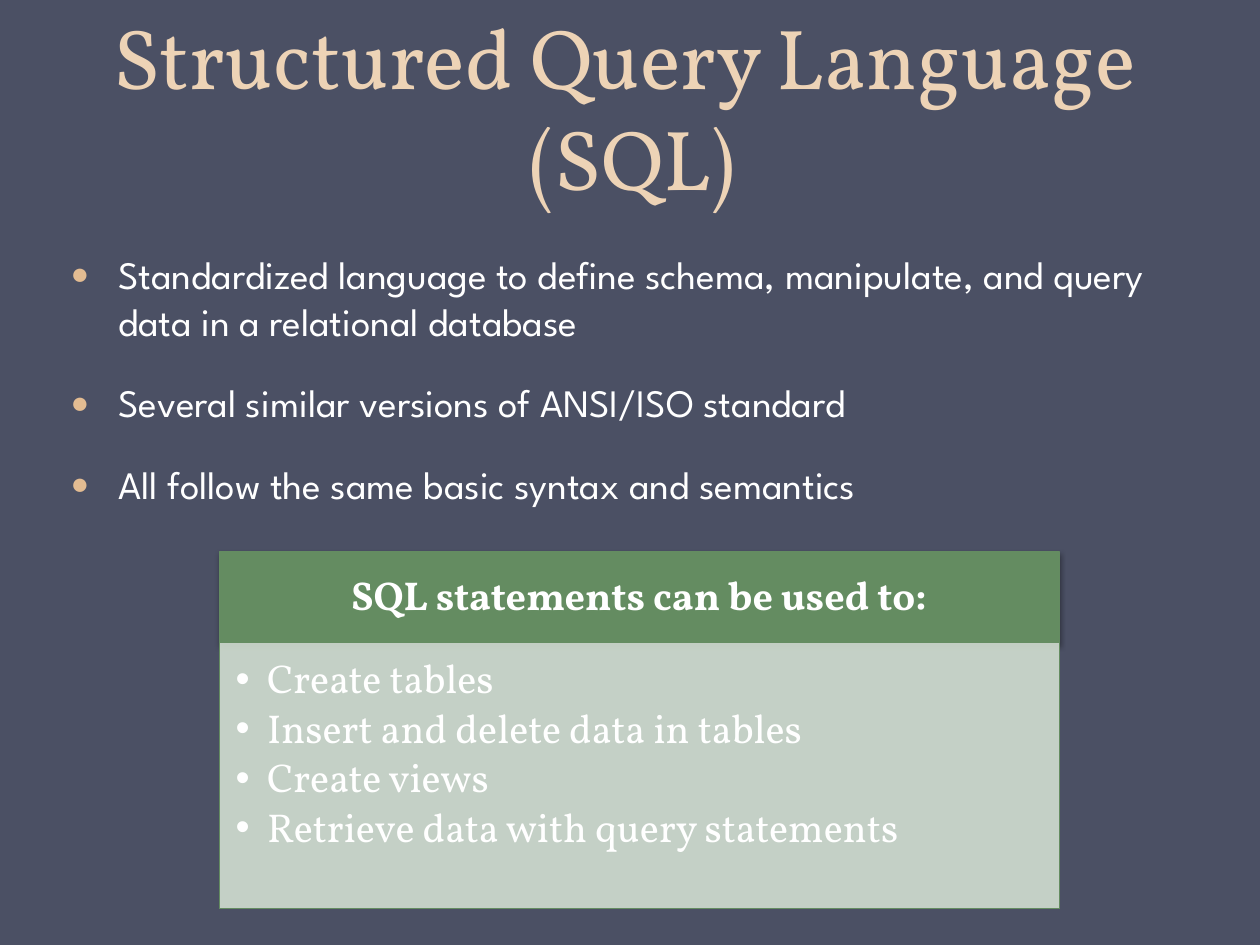
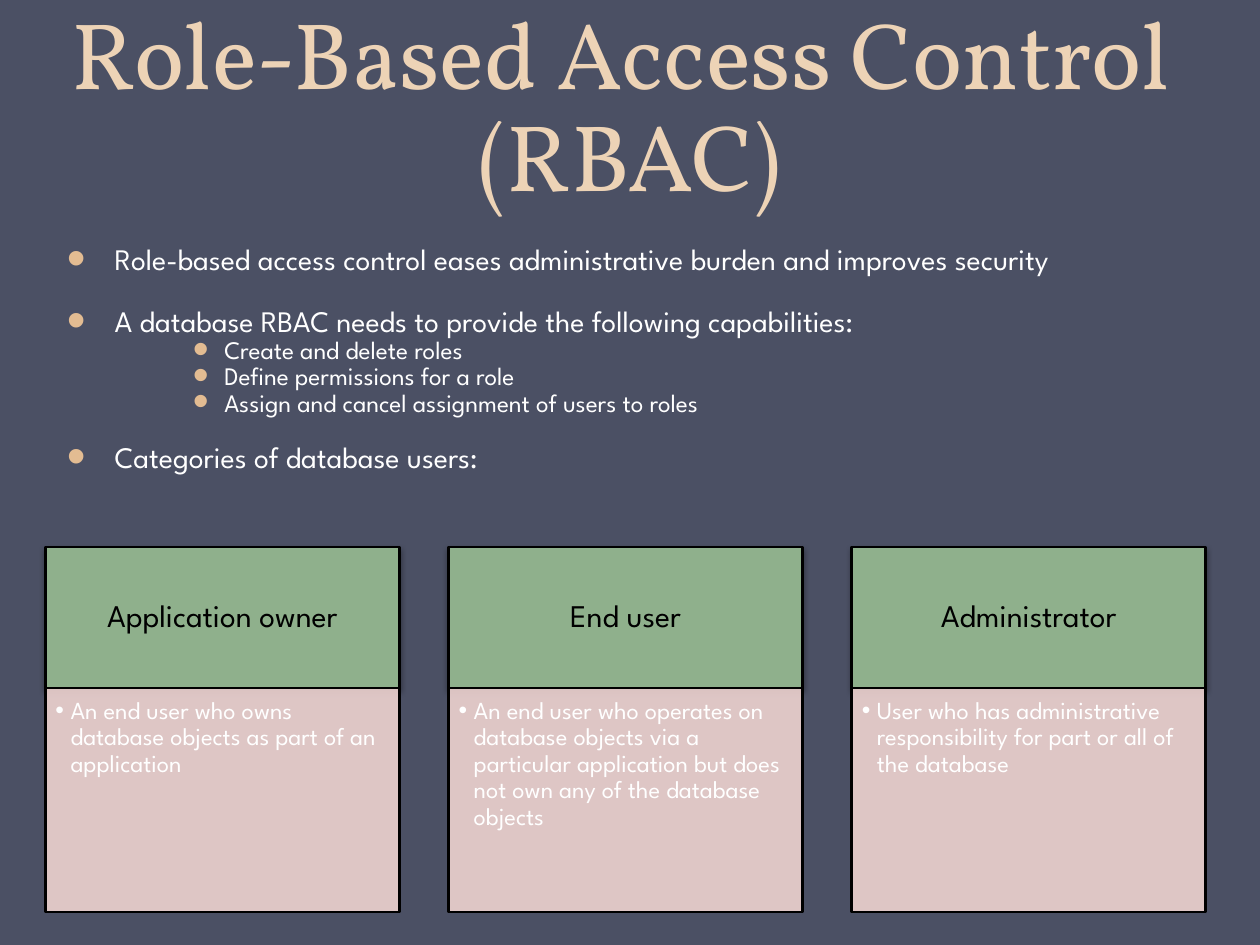
from lxml import etree
from pptx import Presentation
from pptx.dml.color import RGBColor
from pptx.enum.shapes import MSO_SHAPE
from pptx.enum.text import MSO_ANCHOR, MSO_AUTO_SIZE, PP_ALIGN
from pptx.oxml.ns import qn
from pptx.util import Inches, Pt

RECTANGLE = MSO_SHAPE.RECTANGLE
TOP, MIDDLE, BOTTOM = MSO_ANCHOR.TOP, MSO_ANCHOR.MIDDLE, MSO_ANCHOR.BOTTOM
LEFT, CENTER = PP_ALIGN.LEFT, PP_ALIGN.CENTER
NO_AUTOFIT = MSO_AUTO_SIZE.NONE

SLATE = "4B5064"
SAND = "EDD3B6"
BULLET_SAND = "E3BC92"
WHITE = "FFFFFF"
BLACK = "000000"
DARK_GREEN = "648C61"
PALE_GREEN = "D2DFD1"
SAGE = "8FB08C"
ROSE = "EED3D0"
SERIF = "Vollkorn"
SANS = "League Spartan"


def color(hex_code):
    return RGBColor.from_string(hex_code)


def add_child(parent, tag, **attributes):
    return etree.SubElement(parent, qn(tag), attributes)


def add_run(paragraph, text, size, font, hex_code, bold=False):
    run = paragraph.add_run()
    run.text = text
    run.font.size = Pt(size)
    run.font.name = font
    run.font.bold = bold
    run.font.color.rgb = color(hex_code)


def place(shape, left, top, width, height):
    shape.left, shape.top = Inches(left), Inches(top)
    shape.width, shape.height = Inches(width), Inches(height)


def set_bullet(paragraph, character, margin, hanging, hex_code=None, percent=100):
    properties = paragraph._p.get_or_add_pPr()
    properties.set("marL", str(Inches(margin)))
    properties.set("indent", str(-Inches(hanging)))
    if hex_code:
        add_child(add_child(properties, "a:buClr"), "a:srgbClr", val=hex_code)
    add_child(properties, "a:buSzPct", val=str(percent * 1000))
    add_child(properties, "a:buFont", typeface="Arial")
    add_child(properties, "a:buChar", char=character)


def add_paragraph(frame, index):
    return frame.paragraphs[0] if index == 0 else frame.add_paragraph()


def set_title(slide, lines, size, box):
    title = slide.shapes.title
    place(title, *box)
    frame = title.text_frame
    frame.auto_size = NO_AUTOFIT
    frame.word_wrap = True
    frame.vertical_anchor = BOTTOM
    paragraph = frame.paragraphs[0]
    paragraph.alignment = CENTER
    paragraph.line_spacing = Pt(58)
    for index, line in enumerate(lines):
        if index:
            paragraph.add_line_break()
        add_run(paragraph, line, size, SERIF, SAND)


def set_list(slide, items, sizes, gaps, box, character, percent, spacing):
    body = slide.placeholders[1]
    place(body, *box)
    frame = body.text_frame
    frame.auto_size = NO_AUTOFIT
    frame.word_wrap = True
    previous_level = 0
    for index, (level, text) in enumerate(items):
        paragraph = add_paragraph(frame, index)
        paragraph.level = level
        margin, hanging = ((0.38, 0.38), (1.25, 0.25))[level]
        set_bullet(paragraph, character, margin, hanging, BULLET_SAND, percent)
        paragraph.line_spacing = spacing
        paragraph.space_before = Pt(gaps[previous_level, level] if index else 0)
        paragraph.space_after = Pt(0)
        add_run(paragraph, text, sizes[level], SANS, WHITE)
        previous_level = level


def add_panel(slide, box, fill, line, line_width, insets, anchor):
    panel = slide.shapes.add_shape(RECTANGLE, *map(Inches, box))
    panel.shadow.inherit = False
    panel.fill.solid()
    panel.fill.fore_color.rgb = color(fill)
    panel.line.color.rgb = color(line)
    panel.line.width = Pt(line_width)
    frame = panel.text_frame
    frame.word_wrap = True
    frame.vertical_anchor = anchor
    (frame.margin_left, frame.margin_top,
     frame.margin_right, frame.margin_bottom) = map(Inches, insets)
    return panel


def add_drop_shadow(shape):
    effects = shape._element.spPr.find(qn("a:effectLst"))
    shadow = add_child(effects, "a:outerShdw", blurRad=str(Pt(3.1)),
                       dist=str(Pt(1.8)), dir="5400000", rotWithShape="0")
    shadow_color = add_child(shadow, "a:srgbClr", val=BLACK)
    add_child(shadow_color, "a:alpha", val="35000")


def set_fill_opacity(shape, percent):
    fill_color = shape._element.spPr.find(qn("a:solidFill")).find(qn("a:srgbClr"))
    add_child(fill_color, "a:alpha", val=str(percent * 1000))


def add_card(slide, heading, items, left, top, width, style):
    header = add_panel(slide, (left, top, width, style["header_height"]),
                       style["header_fill"], style["line"], style["line_width"],
                       style["header_insets"], MIDDLE)
    add_drop_shadow(header)
    paragraph = header.text_frame.paragraphs[0]
    paragraph.alignment = CENTER
    paragraph.line_spacing = 0.9
    add_run(paragraph, heading, style["header_size"], style["font"],
            style["header_color"], style["header_bold"])

    details = add_panel(slide, (left, top + style["header_height"], width,
                                style["details_height"]),
                        style["details_fill"], style["line"], style["line_width"],
                        style["details_insets"], TOP)
    set_fill_opacity(details, 90)
    for index, text in enumerate(items):
        paragraph = add_paragraph(details.text_frame, index)
        paragraph.alignment = LEFT
        set_bullet(paragraph, "•", style["indent"], style["indent"])
        paragraph.line_spacing = 0.9
        paragraph.space_after = Pt(0.15 * style["details_size"])
        add_run(paragraph, text, style["details_size"], style["font"], WHITE)


STATEMENT_STYLE = dict(
    font=SERIF, line=DARK_GREEN, line_width=0.75,
    header_height=0.72, header_fill=DARK_GREEN, header_color=WHITE,
    header_size=23, header_bold=True, header_insets=(0.18, 0.1, 0.18, 0.1),
    details_height=2.11, details_fill=PALE_GREEN, details_size=23,
    details_insets=(0.13, 0.13, 0.18, 0.2), indent=0.25)

USER_STYLE = dict(
    font=SANS, line=BLACK, line_width=1.5,
    header_height=1.12, header_fill=SAGE, header_color=BLACK,
    header_size=18, header_bold=False, header_insets=(0.14, 0.08, 0.14, 0.08),
    details_height=1.78, details_fill=ROSE, details_size=14,
    details_insets=(0.08, 0.08, 0.11, 0.12), indent=0.12)


def build_sql_slide(presentation):
    slide = presentation.slides.add_slide(presentation.slide_layouts[1])
    set_title(slide, ["Structured Query Language ", "(SQL)"], 48.6,
              (0.02, 0.44, 10, 1.26))
    set_list(slide, [
        (0, "Standardized language to define schema, manipulate, and query "
            "data in a relational database"),
        (0, "Several similar versions of ANSI/ISO standard"),
        (0, "All follow the same basic syntax and semantics"),
    ], [22.2], {(0, 0): 20}, (0.46, 1.94, 9.08, 2.42), "●", 80, 1.0)
    add_card(slide, "SQL statements can be used to:", [
        "Create tables",
        "Insert and delete data in tables",
        "Create views",
        "Retrieve data with query statements",
    ], 1.74, 4.38, 6.67, STATEMENT_STYLE)


def build_rbac_slide(presentation):
    slide = presentation.slides.add_slide(presentation.slide_layouts[1])
    set_title(slide, ["Role-Based Access Control ", "(RBAC)"], 54,
              (0, -0.03, 10, 1.75))
    gaps = {(0, 0): 21, (0, 1): 2.9, (1, 1): 2.9, (1, 0): 18.4}
    set_list(slide, [
        (0, "Role-based access control eases administrative burden and "
            "improves security"),
        (0, "A database RBAC needs to provide the following capabilities:"),
        (1, "Create and delete roles"),
        (1, "Define permissions for a role"),
        (1, "Assign and cancel assignment of users to roles"),
        (0, "Categories of database users:"),
    ], [17, 14.4], gaps, (0.43, 1.94, 9, 2.23), "•", 180, 0.7)
    users = [
        ("Application owner",
         "An end user who owns database objects as part of an application"),
        ("End user",
         "An end user who operates on database objects via a particular "
         "application but does not own any of the database objects"),
        ("Administrator",
         "User who has administrative responsibility for part or all of "
         "the database"),
    ]
    for column, (role, description) in enumerate(users):
        add_card(slide, role, [description], 0.36 + 3.2 * column, 4.34, 2.81,
                 USER_STYLE)


def main():
    presentation = Presentation()
    presentation.slide_width = Inches(10)
    presentation.slide_height = Inches(7.5)
    background = presentation.slide_master.background.fill
    background.solid()
    background.fore_color.rgb = color(SLATE)
    build_sql_slide(presentation)
    build_rbac_slide(presentation)
    presentation.save("out.pptx")


if __name__ == "__main__":
    main()
